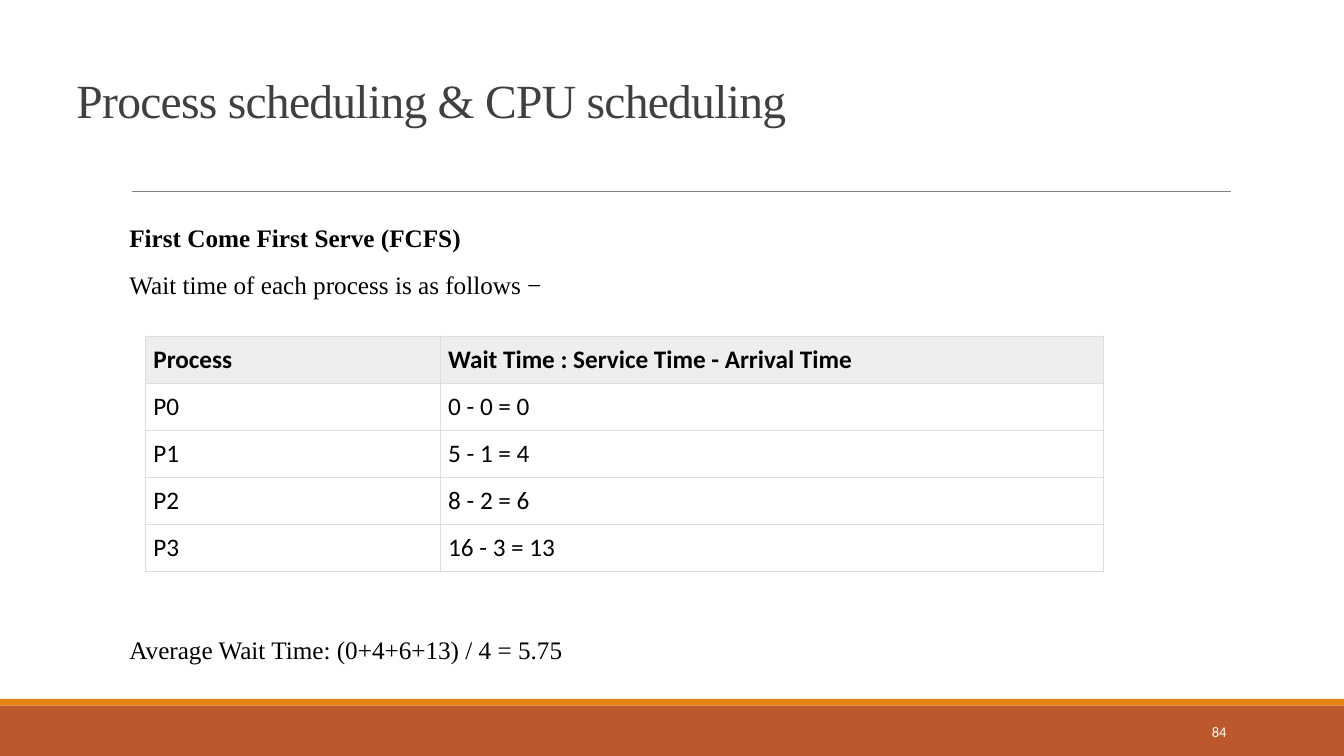
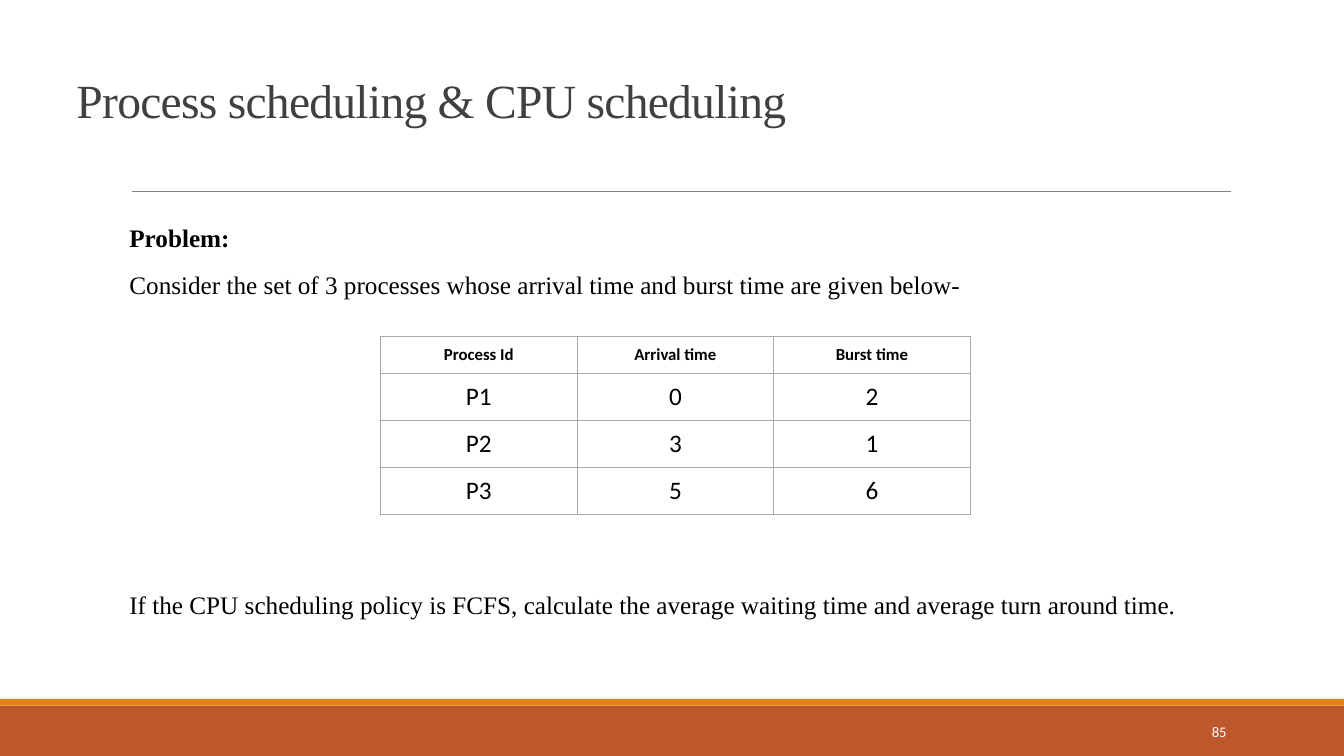
import pptx
import pptx.dml.color
import pptx.enum.shapes
import pptx.enum.text
import pptx.oxml.ns
import pptx.oxml.xmlchemy
import pptx.util

COLS, ROWS = 160, 90
HUES = {
    "rust": "BD582C", "gold": "E48312", "rule": "808080", "head": "404040",
    "ink": "000000", "page": "FFFFFF", "shade": "EEEEEE",
    "light": "DDDDDD", "mid": "AAAAAA",
}
SERIF, SANS = "Times New Roman", "Calibri"
ALIGN = pptx.enum.text.PP_ALIGN
ANCHOR = pptx.enum.text.MSO_ANCHOR
TITLE = "Process scheduling & CPU scheduling"


class Deck:
    def __init__(self):
        self.file = pptx.Presentation()
        self.file.slide_width = pptx.util.Inches(40 / 3)
        self.file.slide_height = pptx.util.Inches(7.5)
        self.slide = None

    def x(self, col):
        return round(self.file.slide_width * col / COLS)

    def y(self, row):
        return round(self.file.slide_height * row / ROWS)

    def box(self, col, row, wide, high):
        return self.x(col), self.y(row), self.x(wide), self.y(high)

    def hue(self, name):
        return pptx.dml.color.RGBColor.from_string(HUES[name])

    def node(self, tag):
        return pptx.oxml.xmlchemy.OxmlElement(tag)

    def place(self, shape, *grid):
        shape.left, shape.top, shape.width, shape.height = self.box(*grid)

    def frame(self, shape, anchor):
        text = shape.text_frame
        text.word_wrap = True
        text.auto_size = pptx.enum.text.MSO_AUTO_SIZE.NONE
        text.vertical_anchor = anchor
        return text

    def run(self, para, text, size, font=SERIF, hue="ink", bold=False):
        run = para.add_run()
        run.text = text
        run.font.size = pptx.util.Pt(size)
        run.font.name = font
        run.font.bold = bold
        run.font.color.rgb = self.hue(hue)
        return run

    def start(self, title, page):
        self.slide = self.file.slides.add_slide(self.file.slide_layouts[1])
        self.band(84, 6, "rust")
        self.band(83.2, 0.8, "gold")
        self.rule(15.7, 146.5, 22.8)
        self.title(title)
        self.number(page)

    def band(self, row, high, hue):
        kind = pptx.enum.shapes.MSO_SHAPE.RECTANGLE
        band = self.slide.shapes.add_shape(kind, *self.box(0, row, COLS, high))
        band.shadow.inherit = False
        band.fill.solid()
        band.fill.fore_color.rgb = self.hue(hue)
        band.line.fill.background()

    def rule(self, left, right, row):
        kind = pptx.enum.shapes.MSO_CONNECTOR.STRAIGHT
        rule = self.slide.shapes.add_connector(
            kind, self.x(left), self.y(row), self.x(right), self.y(row))
        rule.line.color.rgb = self.hue("rule")
        rule.line.width = pptx.util.Pt(0.5)
        props = rule._element.find(pptx.oxml.ns.qn("p:spPr"))
        props.append(self.node("a:effectLst"))

    def title(self, words):
        shape = self.slide.shapes.title
        self.place(shape, 7.9, 4.6, 147.7, 11.3)
        para = self.frame(shape, ANCHOR.BOTTOM).paragraphs[0]
        para.alignment = ALIGN.LEFT
        para.line_spacing = 0.85
        run = self.run(para, words, 34, hue="head")
        run._r.get_or_add_rPr().set("spc", "-50")

    def number(self, page):
        shape = self.slide.shapes.add_textbox(*self.box(130, 84.7, 17.2, 4.8))
        para = self.frame(shape, ANCHOR.MIDDLE).paragraphs[0]
        para.alignment = ALIGN.RIGHT
        self.run(para, str(page), 10.5, SANS, "page")

    def body(self, head, lead, close, gap):
        shape = self.slide.placeholders[1]
        self.place(shape, 14.2, 24.1, 128.5, 55.1)
        text = self.frame(shape, ANCHOR.TOP)
        lines = (head, True, 1.3), (lead, False, 1.3), (close, False, gap)
        for spot, (words, bold, space) in enumerate(lines):
            para = text.add_paragraph() if spot else text.paragraphs[0]
            para.alignment = ALIGN.JUSTIFY
            para.line_spacing = 1.5
            para.space_before = pptx.util.Pt(space)
            props = para._p.get_or_add_pPr()
            props.set("marL", "0")
            props.set("indent", "0")
            props.append(self.node("a:buNone"))
            self.run(para, words, 18, bold=bold)

    def edge(self, cell, hue):
        props = cell._tc.get_or_add_tcPr()
        for side in "LRTB":
            line = self.node(f"a:ln{side}")
            line.set("w", str(pptx.util.Pt(0.75)))
            fill = self.node("a:solidFill")
            tint = self.node("a:srgbClr")
            tint.set("val", HUES[hue])
            fill.append(tint)
            line.append(fill)
            props.append(line)

    def table(self, left, top, wides, data, line, shade="page", first=5.6,
              size=18, align=ALIGN.LEFT, anchor=ANCHOR.TOP, pad=0.08):
        highs = [first] + [5.6] * (len(data) - 1)
        grid = self.slide.shapes.add_table(
            len(data), len(wides),
            *self.box(left, top, sum(wides), sum(highs))).table
        grid.first_row = grid.horz_banding = False
        for col, wide in zip(grid.columns, wides):
            col.width = self.x(wide)
        for row, high in zip(grid.rows, highs):
            row.height = self.y(high)
        for r, row in enumerate(data):
            for c, words in enumerate(row):
                cell = grid.cell(r, c)
                self.edge(cell, line)
                cell.fill.solid()
                cell.fill.fore_color.rgb = self.hue("page" if r else shade)
                cell.vertical_anchor = anchor
                cell.margin_left = cell.margin_right = pptx.util.Inches(pad)
                cell.margin_top = cell.margin_bottom = pptx.util.Inches(0.08)
                para = cell.text_frame.paragraphs[0]
                para.alignment = align
                self.run(para, words, 18 if r else size, SANS, bold=not r)


def main():
    deck = Deck()

    deck.start(TITLE, 84)
    deck.body("First Come First Serve (FCFS)",
              "Wait time of each process is as follows −",
              "Average Wait Time: (0+4+6+13) / 4 = 5.75", 228)
    deck.table(17.3, 40, [35.1, 79], [
        ("Process", "Wait Time : Service Time - Arrival Time"),
        ("P0", "0 - 0 = 0"),
        ("P1", "5 - 1 = 4"),
        ("P2", "8 - 2 = 6"),
        ("P3", "16 - 3 = 13"),
    ], "light", "shade")

    deck.start(TITLE, 85)
    deck.body("Problem:",
              "Consider the set of 3 processes whose arrival time and "
              "burst time are given below-",
              "If the CPU scheduling policy is FCFS, calculate the average "
              "waiting time and average turn around time.", 195.5)
    deck.table(45.3, 40, [23.4] * 3, [
        ("Process Id", "Arrival time", "Burst time"),
        ("P1", "0", "2"),
        ("P2", "3", "1"),
        ("P3", "5", "6"),
    ], "mid", first=4.4, size=12, align=ALIGN.CENTER,
        anchor=ANCHOR.MIDDLE, pad=0.1)

    deck.file.save("out.pptx")


if __name__ == "__main__":
    main()
